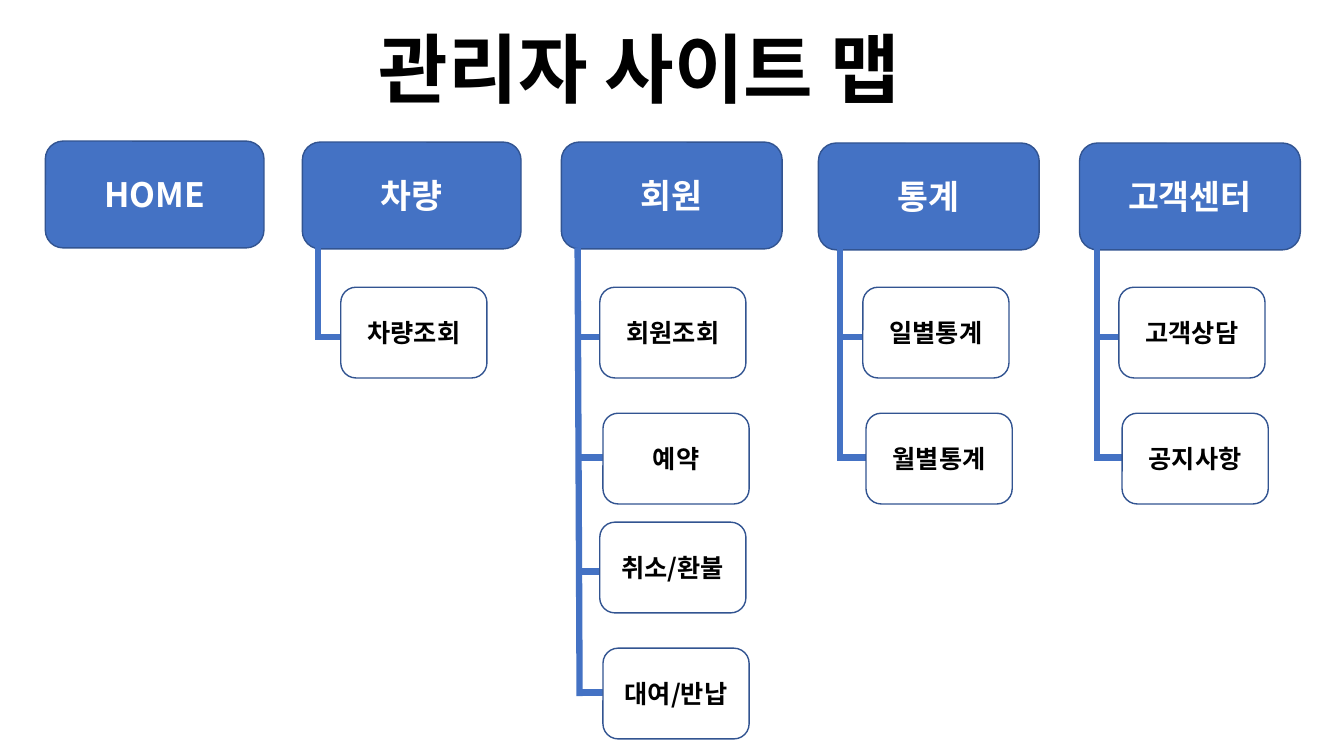
from lxml.etree import SubElement
from pptx import Presentation
from pptx.dml.color import RGBColor
from pptx.enum.shapes import MSO_CONNECTOR, MSO_SHAPE
from pptx.enum.text import MSO_ANCHOR, MSO_AUTO_SIZE, PP_ALIGN
from pptx.oxml.ns import qn
from pptx.util import Pt

# Content; lengths in points
TITLE = "관리자 사이트 맵"
SECTIONS = [
    # name, left, top, width, trunk x, trunk top, trunk lean, pages left, pages
    ("HOME", 32.4, 100.8, 156.2, 0, 0, 0, 0, []),
    ("차량", 216, 101.5, 156.2, 227.3, 171.4, 0, 243.4, ["차량조회"]),
    ("회원", 401, 101.5, 157.7, 412.6, 177.1, 1.4, 428.4,
     ["회원조회", "예약", "취소/환불", "대여/반납"]),
    ("통계", 584.6, 102.2, 157.7, 599.8, 177.1, 0, 616.3, ["일별통계", "월별통계"]),
    ("고객센터", 771.1, 102.2, 157.7, 783.4, 177.1, 0, 799.2, ["고객상담", "공지사항"]),
]
SECTION_HEIGHT = 76.3
PAGE_WIDTH, PAGE_HEIGHT = 104.4, 64.8
PAGE_TOP, PAGE_STEP, PAIR_STEP = 205.2, 90, 167.8
BRANCH_Y, BRANCH_STEP, BRANCH_LENGTH = 240.5, 86.4, 67.7
SECOND_SHIFT = 2.3
TRUNK_OVERHANG = 2.5

FONT = "Noto Sans CJK KR"
BLUE, OUTLINE, WHITE, BLACK = "4472C4", "325491", "FFFFFF", "000000"


def color(value):
    return RGBColor.from_string(value)


def add_text(frame, text, size, text_color, align):
    paragraph = frame.paragraphs[0]
    paragraph.alignment = align
    run = paragraph.add_run()
    run.text = text
    run.font.size = Pt(size)
    run.font.bold = True
    run.font.name = FONT
    run.font.color.rgb = color(text_color)
    SubElement(run.font._element, qn("a:ea"), typeface=FONT)


def add_box(text, left, top, width, height, fill, size, text_color):
    box = slide.shapes.add_shape(
        MSO_SHAPE.ROUNDED_RECTANGLE, Pt(left), Pt(top), Pt(width), Pt(height))
    box.adjustments[0] = 0.167
    box.shadow.inherit = False
    box.fill.solid()
    box.fill.fore_color.rgb = color(fill)
    box.line.color.rgb = color(OUTLINE)
    box.line.width = Pt(1)
    box.text_frame.word_wrap = True
    box.text_frame.vertical_anchor = MSO_ANCHOR.MIDDLE
    add_text(box.text_frame, text, size, text_color, PP_ALIGN.CENTER)


def add_line(x1, y1, x2, y2):
    line = slide.shapes.add_connector(
        MSO_CONNECTOR.STRAIGHT, Pt(x1), Pt(y1), Pt(x2), Pt(y2))
    line.line.color.rgb = color(BLUE)
    line.line.width = Pt(4.5)
    SubElement(line._element.spPr, qn("a:effectLst"))


deck = Presentation()
deck.slide_width, deck.slide_height = Pt(960), Pt(540)
slide = deck.slides.add_slide(deck.slide_layouts[5])

# Title
title = slide.shapes.title
title.left, title.top, title.width, title.height = Pt(263.5), Pt(12.2), Pt(483.8), Pt(72.7)
title.text_frame.word_wrap = True
title.text_frame.auto_size = MSO_AUTO_SIZE.SHAPE_TO_FIT_TEXT
title.text_frame.vertical_anchor = MSO_ANCHOR.TOP
add_text(title.text_frame, TITLE, 54, BLACK, PP_ALIGN.LEFT)

for name, left, top, width, trunk_x, trunk_top, lean, pages_left, pages in SECTIONS:
    # Section header
    add_box(name, left, top, width, SECTION_HEIGHT, BLUE, 24, WHITE)

    # Pages come in pairs, the second one set slightly to the right
    places = []
    for index in range(len(pages)):
        pair, second = divmod(index, 2)
        drop = pair * PAIR_STEP
        places.append((second * SECOND_SHIFT,
                       PAGE_TOP + drop + second * PAGE_STEP,
                       BRANCH_Y + drop + second * BRANCH_STEP))

    # Trunk down to the last branch
    if places:
        add_line(trunk_x, trunk_top, trunk_x + lean, places[-1][2] + TRUNK_OVERHANG)

    # Branches and page boxes
    for page, (shift, page_top, branch_y) in zip(pages, places):
        branch_x = trunk_x + shift
        add_line(branch_x, branch_y, branch_x + BRANCH_LENGTH, branch_y)
        add_box(page, pages_left + shift, page_top, PAGE_WIDTH, PAGE_HEIGHT,
                WHITE, 18, BLACK)

deck.save("out.pptx")
